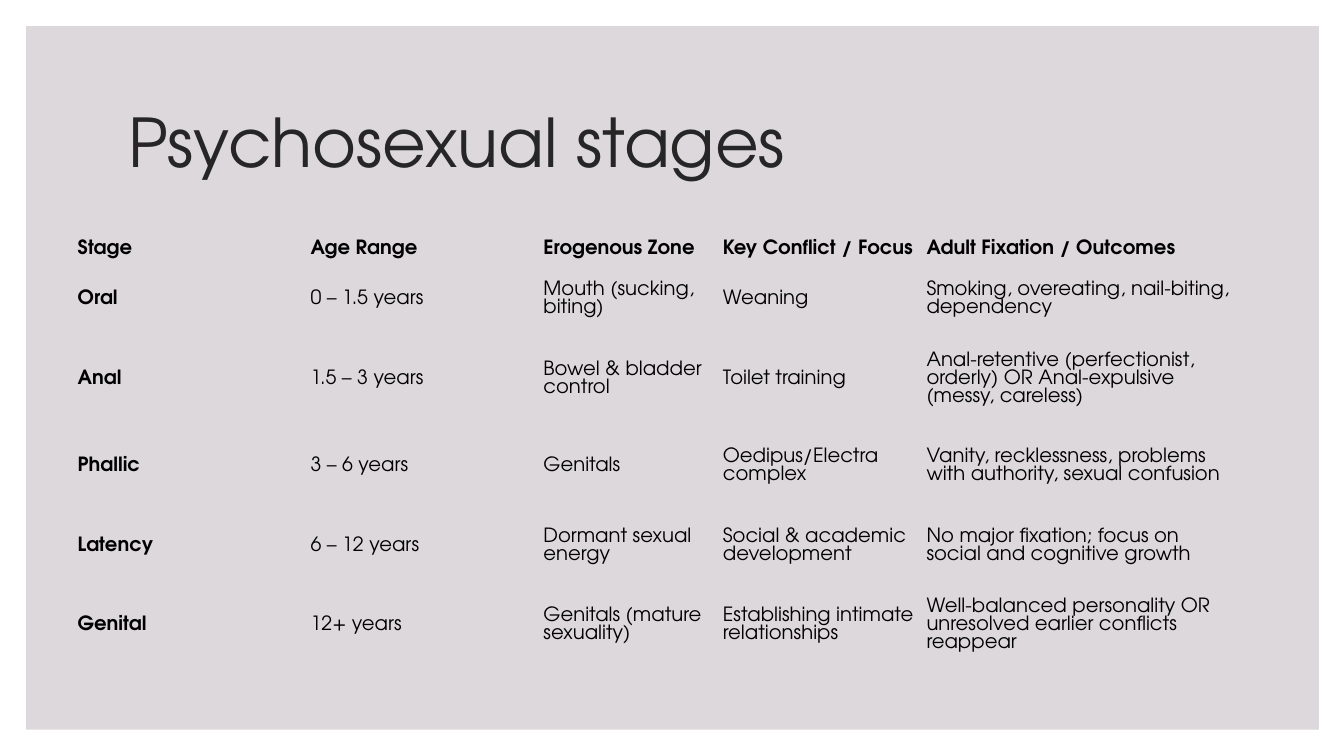
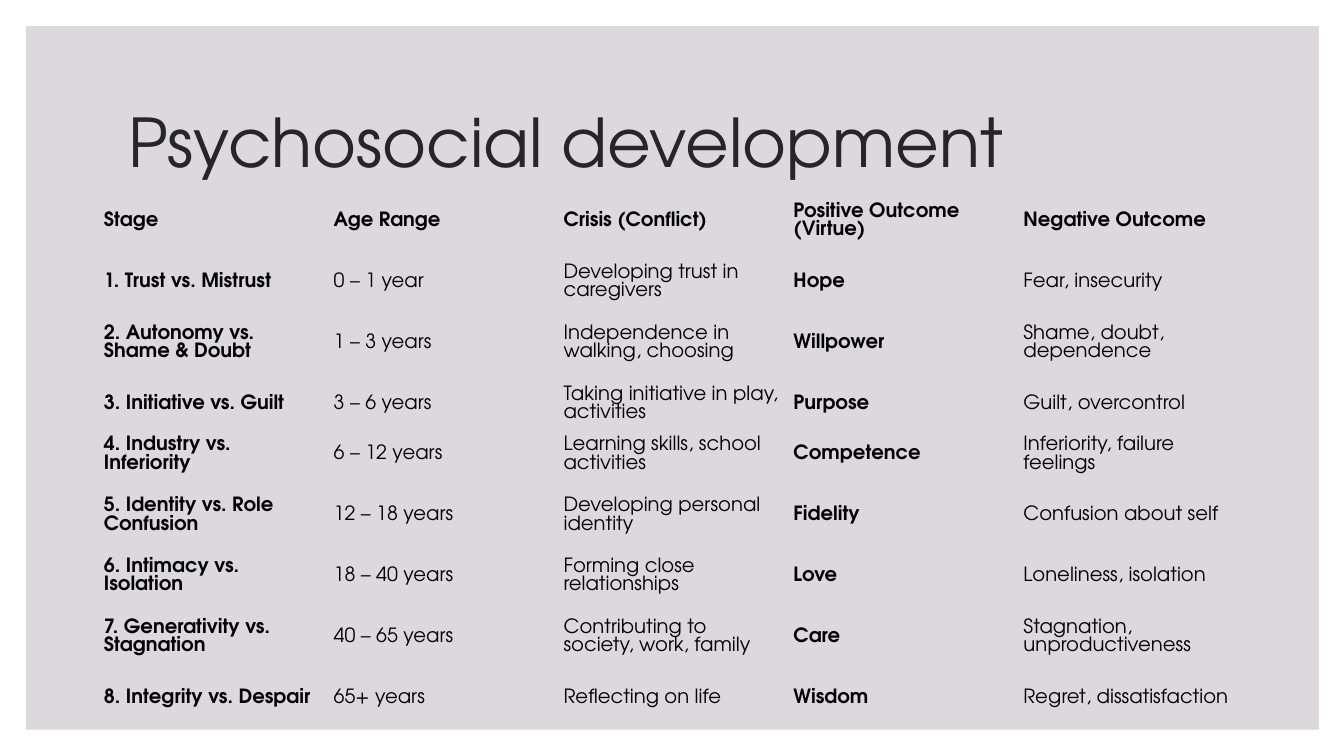
from pptx import Presentation
from pptx.dml.color import RGBColor
from pptx.enum.shapes import MSO_SHAPE
from pptx.enum.text import MSO_ANCHOR, PP_ALIGN
from pptx.oxml.ns import qn
from pptx.util import Inches, Pt

PANEL = RGBColor(0xDC, 0xD8, 0xDC)
TITLE = RGBColor(0x26, 0x26, 0x26)
BLACK = RGBColor(0x00, 0x00, 0x00)
FONT = "TeX Gyre Adventor"
NO_STYLE_NO_GRID = "{2D5ABB26-0587-4C30-8999-92F81FD0307C}"
TITLE_ONLY = 5

PSYCHOSEXUAL = [
    ("Stage", "Age Range", "Erogenous Zone", "Key Conflict / Focus",
     "Adult Fixation / Outcomes"),
    ("Oral", "0 – 1.5 years", "Mouth (sucking, biting)", "Weaning",
     "Smoking, overeating, nail-biting, dependency"),
    ("Anal", "1.5 – 3 years", "Bowel & bladder control", "Toilet training",
     "Anal-retentive (perfectionist, orderly) OR Anal-expulsive (messy, careless)"),
    ("Phallic", "3 – 6 years", "Genitals", "Oedipus/Electra complex",
     "Vanity, recklessness, problems with authority, sexual confusion"),
    ("Latency", "6 – 12 years", "Dormant sexual energy",
     "Social & academic development",
     "No major fixation; focus on social and cognitive growth"),
    ("Genital", "12+ years", "Genitals (mature sexuality)",
     "Establishing intimate relationships",
     "Well-balanced personality OR unresolved earlier conflicts reappear"),
]

PSYCHOSOCIAL = [
    ("Stage", "Age Range", "Crisis (Conflict)", "Positive Outcome (Virtue)",
     "Negative Outcome"),
    ("1. Trust vs. Mistrust", "0 – 1 year", "Developing trust in caregivers",
     "Hope", "Fear, insecurity"),
    ("2. Autonomy vs. Shame & Doubt", "1 – 3 years",
     "Independence in walking, choosing", "Willpower",
     "Shame, doubt, dependence"),
    ("3. Initiative vs. Guilt", "3 – 6 years",
     "Taking initiative in play, activities", "Purpose", "Guilt, overcontrol"),
    ("4. Industry vs. Inferiority", "6 – 12 years",
     "Learning skills, school activities", "Competence",
     "Inferiority, failure feelings"),
    ("5. Identity vs. Role Confusion", "12 – 18 years",
     "Developing personal identity", "Fidelity", "Confusion about self"),
    ("6. Intimacy vs. Isolation", "18 – 40 years",
     "Forming close relationships", "Love", "Loneliness, isolation"),
    ("7. Generativity vs. Stagnation", "40 – 65 years",
     "Contributing to society, work, family", "Care",
     "Stagnation, unproductiveness"),
    ("8. Integrity vs. Despair", "65+ years", "Reflecting on life", "Wisdom",
     "Regret, dissatisfaction"),
]


def place(sp, left, top, width, height):
    sp.left, sp.top = Inches(left), Inches(top)
    sp.width, sp.height = Inches(width), Inches(height)


def set_font(p, size, color, bold=False):
    p.font.name, p.font.size, p.font.bold = FONT, Pt(size), bold
    p.font.color.rgb = color


def add_master_panel(prs, s):
    """Draw the panel on a slide, then move it to the back of the master."""
    sp = s.shapes.add_shape(MSO_SHAPE.RECTANGLE, Inches(0.26), Inches(0.26),
                            Inches(12.82), Inches(6.98))
    sp.shadow.inherit = False
    sp.fill.solid()
    sp.fill.fore_color.rgb = PANEL
    sp.line.fill.background()
    prs.slide_master.shapes._spTree.insert(2, sp._element)


def add_titled_slide(prs, title):
    s = prs.slides.add_slide(prs.slide_layouts[TITLE_ONLY])
    tf = s.shapes.title.text_frame
    tf.text = title
    tf.vertical_anchor = MSO_ANCHOR.MIDDLE
    p = tf.paragraphs[0]
    p.alignment, p.line_spacing = PP_ALIGN.LEFT, 0.9
    set_font(p, 48, TITLE)
    return s


def add_text_table(s, rows, left, top, widths, heights, inset, bold_columns):
    """Add a plain table with a bold header row and bold columns."""
    frame = s.shapes.add_table(len(rows), len(widths), Inches(left), Inches(top),
                               Inches(sum(widths)), Inches(sum(heights)))
    table = frame.table
    table.first_row = table.horz_banding = False
    table._tbl.tblPr.find(qn("a:tableStyleId")).text = NO_STYLE_NO_GRID
    for column, width in zip(table.columns, widths):
        column.width = Inches(width)
    for row, height in zip(table.rows, heights):
        row.height = Inches(height)

    for i, texts in enumerate(rows):
        for j, text in enumerate(texts):
            cell = table.cell(i, j)
            cell.text = text
            cell.fill.background()
            cell.vertical_anchor = MSO_ANCHOR.MIDDLE
            cell.margin_left = cell.margin_right = Inches(inset)
            cell.margin_top = cell.margin_bottom = Inches(inset / 2)
            set_font(cell.text_frame.paragraphs[0], 14, BLACK,
                     bold=i == 0 or j in bold_columns)


def main():
    prs = Presentation()
    prs.slide_width, prs.slide_height = Inches(13.33), Inches(7.5)
    place(prs.slide_layouts[TITLE_ONLY].placeholders[0], 1.17, 0.7, 11, 1.5)

    # Psychosexual stages
    s = add_titled_slide(prs, "Psychosexual stages")
    add_master_panel(prs, s)
    add_text_table(s, PSYCHOSEXUAL, 0.72, 2.3,
                   widths=[2.31, 2.31, 1.78, 2.02, 3.12],
                   heights=[0.35, 0.64, 0.94] + [0.79] * 3,
                   inset=0.05, bold_columns={0})

    # Psychosocial development
    s = add_titled_slide(prs, "Psychosocial development")
    tall, short = 0.71, 0.5
    add_text_table(s, PSYCHOSOCIAL, 0.97, 1.84,
                   widths=[2.28] * 5,
                   heights=[tall, short, tall, short] + [short, tall] * 2 + [short],
                   inset=0.06, bold_columns={0, 3})

    prs.save("out.pptx")


if __name__ == "__main__":
    main()
